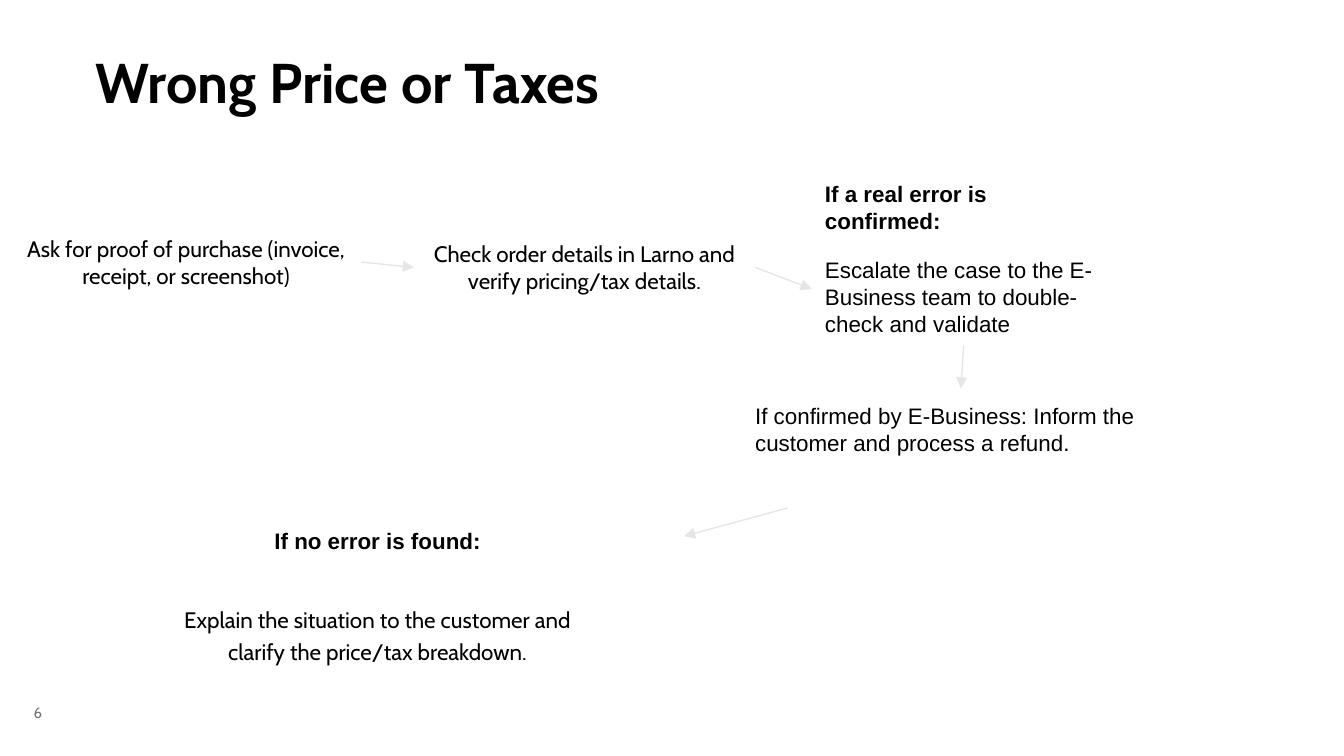
from dataclasses import dataclass

from lxml import etree
from pptx import Presentation
from pptx.dml.color import RGBColor
from pptx.enum import shapes, text
from pptx.oxml import ns
from pptx.util import Inches, Pt


@dataclass(frozen=True)
class Theme:
    ink: str = "000000"
    grey: str = "757070"
    rule: str = "E7E6E6"
    head: str = "Cabin"
    plain: str = "Arial"
    title: int = 30
    body: int = 12
    small: int = 8
    line: float = 0.75


THEME = Theme()
LEFT = text.PP_ALIGN.LEFT
MID = text.PP_ALIGN.CENTER


def place(shape, box):
    shape.left, shape.top, shape.width, shape.height = map(Inches, box)


def frame(shape, inset=0.0, anchor=text.MSO_ANCHOR.TOP, fit=text.MSO_AUTO_SIZE.NONE):
    tf = shape.text_frame
    tf.word_wrap = True
    tf.auto_size = fit
    tf.vertical_anchor = anchor
    tf.margin_left = tf.margin_right = Inches(inset)
    tf.margin_top = tf.margin_bottom = Inches(inset)
    return tf


def add_run(para, words, size, font, color=THEME.ink, bold=False):
    run = para.add_run()
    run.text = words
    run.font.size = Pt(size)
    run.font.name = font
    run.font.bold = bold
    run.font.color.rgb = RGBColor.from_string(color)


def add_title(slide, box, words):
    shape = slide.shapes.title
    place(shape, box)
    para = frame(shape).paragraphs[0]
    para.alignment = LEFT
    para.line_spacing = 0.9
    add_run(para, words, THEME.title, THEME.head, bold=True)


def add_page(slide, box, number):
    shape = slide.shapes.add_textbox(*map(Inches, box))
    para = frame(shape, anchor=text.MSO_ANCHOR.MIDDLE).paragraphs[0]
    add_run(para, number, THEME.small, THEME.head, THEME.grey)


def add_step(slide, box, lines, align=LEFT, gap=0, after=0, pitch=1.0):
    shape = slide.shapes.add_textbox(*map(Inches, box))
    tf = frame(shape, 0.1, fit=text.MSO_AUTO_SIZE.SHAPE_TO_FIT_TEXT)
    for i, (words, font, bold) in enumerate(lines):
        para = tf.add_paragraph() if i else tf.paragraphs[0]
        para.alignment = align
        para.line_spacing = pitch
        para.space_before = Pt(gap if i else 0)
        para.space_after = Pt(after if i else 0)
        add_run(para, words, THEME.body, font, bold=bold)


def add_arrow(slide, start, end):
    ends = map(Inches, (*start, *end))
    arrow = slide.shapes.add_connector(shapes.MSO_CONNECTOR.STRAIGHT, *ends)
    arrow.line.color.rgb = RGBColor.from_string(THEME.rule)
    arrow.line.width = Pt(THEME.line)
    edge = arrow._element.spPr.find(ns.qn("a:ln"))
    tip = etree.SubElement(edge, ns.qn("a:tailEnd"))
    tip.set("type", "triangle")
    etree.SubElement(arrow._element.spPr, ns.qn("a:effectLst"))


def add_flow(slide, box):
    x, y, w, h = box
    head, plain = THEME.head, THEME.plain
    add_step(slide, (x, y + 0.41, 2.61, 0.61), [
        ("Ask for proof of purchase (invoice, receipt, or screenshot)", head, False),
    ], MID)
    add_step(slide, (x + 3, y + 0.45, 2.54, 0.61), [
        ("Check order details in Larno and verify pricing/tax details.", head, False),
    ], MID)
    add_step(slide, (x + 5.96, y, 2.23, 1.82), [
        ("If a real error is confirmed:", plain, True),
        ("Escalate the case to the E-Business team to double-check and validate",
         plain, False),
    ], gap=12)
    add_step(slide, (x + w - 3.28, y + 1.65, 3.28, 0.61), [
        ("If confirmed by E-Business: Inform the customer and process a refund.",
         plain, False),
    ])
    add_step(slide, (x + 1.09, y + h - 1.24, 3.28, 1.24), [
        ("If no error is found:", plain, True),
        ("Explain the situation to the customer and clarify the price/tax breakdown.",
         head, False),
    ], MID, gap=25, after=25, pitch=1.2)
    links = [
        ((2.61, 0.71), (3, 0.75)),
        ((5.54, 0.75), (5.96, 0.91)),
        ((7.09, 1.33), (7.07, 1.65)),
        ((5.78, 2.54), (5.01, 2.75)),
    ]
    for (ax, ay), (bx, by) in links:
        add_arrow(slide, (x + ax, y + ay), (x + bx, y + by))


def main():
    deck = Presentation()
    deck.slide_width = Inches(10)
    deck.slide_height = deck.slide_width * 9 // 16
    slide = deck.slides.add_slide(deck.slide_layouts[5])
    add_title(slide, (0.71, 0.41, 8.58, 0.28), "Wrong Price or Taxes")
    add_page(slide, (0.25, 5.21, 0.39, 0.18), "6")
    add_flow(slide, (0.08, 1.24, 8.72, 3.78))
    deck.save("out.pptx")


if __name__ == "__main__":
    main()
